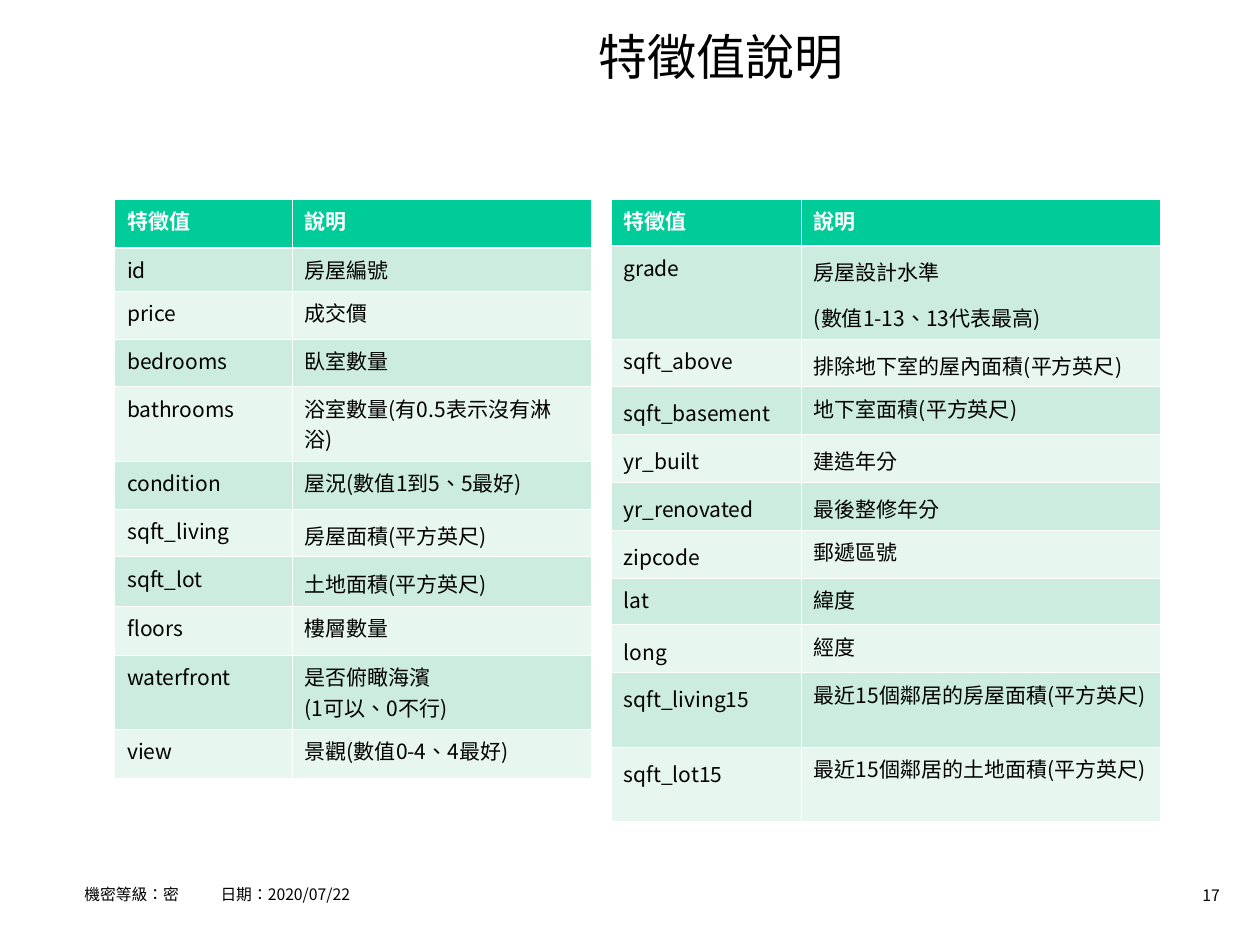
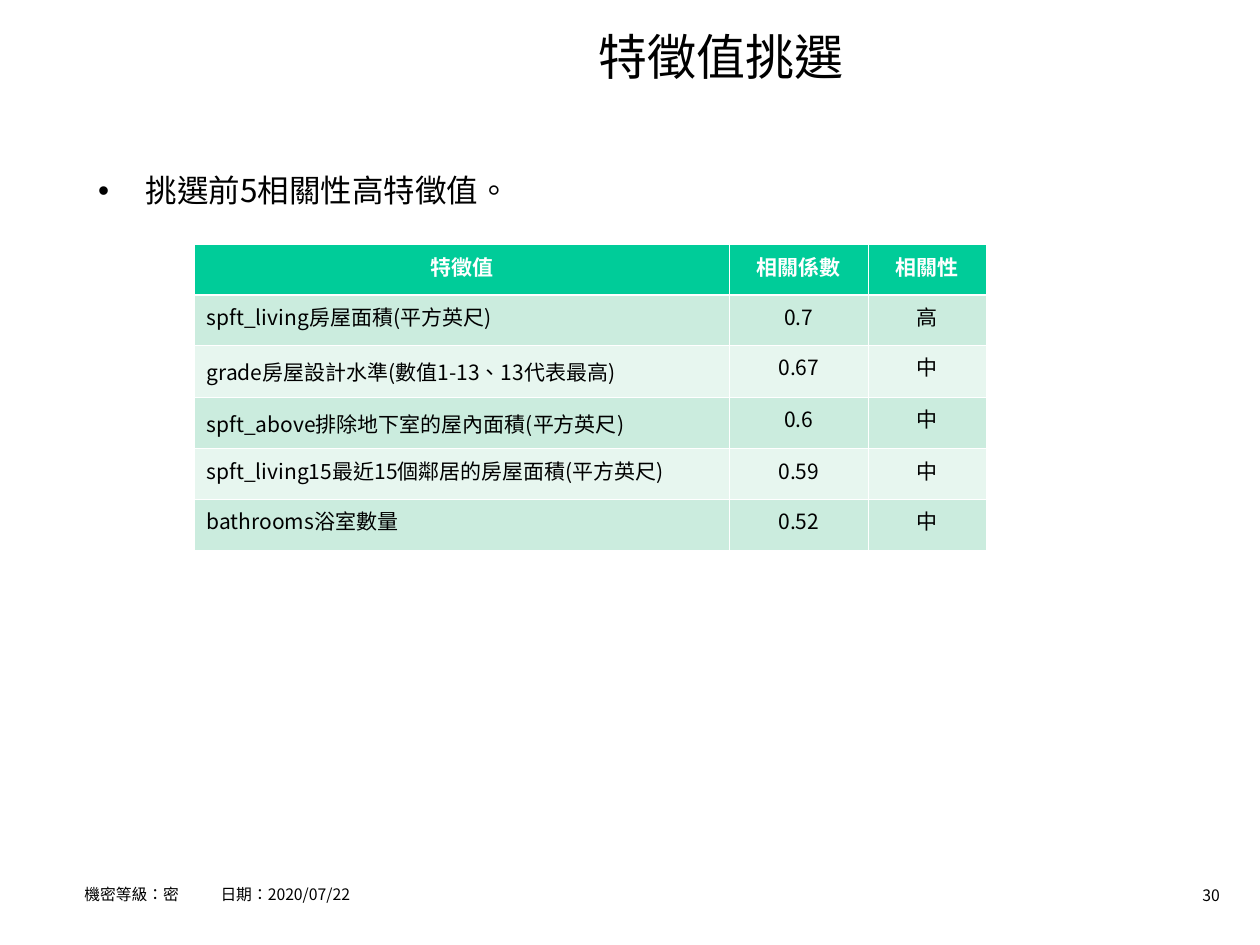
from lxml import etree
from pptx import Presentation
from pptx.dml.color import RGBColor
from pptx.enum.text import MSO_ANCHOR as Anchor, PP_ALIGN as Align
from pptx.oxml.ns import qn
from pptx.util import Inches, Pt

FONT = "Noto Sans CJK SC"
COLORS = {
    "text": "000000",
    "white": "FFFFFF",
    "header": "00CC99",
    "odd_row": "CBECDE",
    "even_row": "E7F6EF",
}
THIN, THICK = 0.45, 1.47

BASIC_FEATURES = [
    ("特徵值", "說明"),
    ("id", "房屋編號"),
    ("price", "成交價"),
    ("bedrooms", "臥室數量"),
    ("bathrooms", "浴室數量(有0.5表示沒有淋浴)"),
    ("condition", "屋況(數值1到5、5最好)"),
    ("sqft_living", "房屋面積(平方英尺)"),
    ("sqft_lot", "土地面積(平方英尺)"),
    ("floors", "樓層數量"),
    ("waterfront", "是否俯瞰海濱\n(1可以、0不行)"),
    ("view", "景觀(數值0-4、4最好)"),
]
MORE_FEATURES = [
    ("特徵值", "說明"),
    ("grade", "房屋設計水準\n(數值1-13、13代表最高)"),
    ("sqft_above", "排除地下室的屋內面積(平方英尺)"),
    ("sqft_basement", "地下室面積(平方英尺)"),
    ("yr_built", "建造年分"),
    ("yr_renovated", "最後整修年分"),
    ("zipcode", "郵遞區號"),
    ("lat", "緯度"),
    ("long", "經度"),
    ("sqft_living15", "最近15個鄰居的房屋面積(平方英尺)"),
    ("sqft_lot15", "最近15個鄰居的土地面積(平方英尺)"),
]
CORRELATIONS = [
    ("特徵值", "相關係數", "相關性"),
    ("spft_living房屋面積(平方英尺)", "0.7", "高"),
    ("grade房屋設計水準(數值1-13、13代表最高)", "0.67", "中"),
    ("spft_above排除地下室的屋內面積(平方英尺)", "0.6", "中"),
    ("spft_living15最近15個鄰居的房屋面積(平方英尺)", "0.59", "中"),
    ("bathrooms浴室數量", "0.52", "中"),
]


def add_bullet(paragraph, indent):
    """Give a paragraph a hanging round bullet."""
    properties = paragraph._p.get_or_add_pPr()
    properties.set("marL", str(Inches(indent)))
    properties.set("indent", str(-Inches(indent)))
    etree.SubElement(properties, qn("a:buFont"), typeface="Arial")
    etree.SubElement(properties, qn("a:buChar"), char="•")


def add_tab_stop(paragraph, position):
    """Add one left tab stop to a paragraph."""
    stops = etree.SubElement(paragraph._p.get_or_add_pPr(), qn("a:tabLst"))
    etree.SubElement(stops, qn("a:tab"), pos=str(Inches(position)), algn="l")


def write_text(text_frame, text, *, size=12, color="text", bold=False, align=Align.LEFT,
               line_spacing=None, space_between=0, bullet_indent=None, tab_stop=None):
    """Write one formatted paragraph for each line of the text."""
    for index, line in enumerate(text.split("\n")):
        paragraph = text_frame.add_paragraph() if index else text_frame.paragraphs[0]
        paragraph.alignment = align
        if line_spacing:
            paragraph.line_spacing = line_spacing
        if index and space_between:
            paragraph.space_before = Pt(space_between)
        if bullet_indent:
            add_bullet(paragraph, bullet_indent)
        if tab_stop:
            add_tab_stop(paragraph, tab_stop)
        run = paragraph.add_run()
        run.text = line
        run.font.size = Pt(size)
        run.font.bold = bold
        run.font.color.rgb = RGBColor.from_string(COLORS[color])
        run.font.name = FONT
        properties = run._r.get_or_add_rPr()
        properties.set("lang", "zh-TW")
        etree.SubElement(properties, qn("a:ea"), typeface=FONT)


def add_text_box(slide, box, text, *, anchor=Anchor.TOP, margin_left=0.1, **text_format):
    """Add a wrapping text box at left, top, width, height."""
    text_frame = slide.shapes.add_textbox(*map(Inches, box)).text_frame
    text_frame.word_wrap = True
    text_frame.vertical_anchor = anchor
    text_frame.margin_left = Inches(margin_left)
    write_text(text_frame, text, **text_format)


def set_borders(cell, row_index):
    """Draw white cell borders, thick between the header and the body."""
    widths = {
        "L": THIN,
        "R": THIN,
        "T": THICK if row_index == 1 else THIN,
        "B": THICK if row_index == 0 else THIN,
    }
    properties = cell._tc.get_or_add_tcPr()
    for side, width in widths.items():
        line = etree.SubElement(properties, qn(f"a:ln{side}"), w=str(Pt(width)))
        fill = etree.SubElement(line, qn("a:solidFill"))
        etree.SubElement(fill, qn("a:srgbClr"), val=COLORS["white"])


def add_banded_table(slide, left, top, widths, heights, rows, *, loose_cells=(),
                     centered_header=False, centered_columns=()):
    """Add a banded table; loose cells get wider line spacing."""
    frame = slide.shapes.add_table(len(rows), len(widths), Inches(left), Inches(top),
                                   Inches(sum(widths)), Inches(sum(heights)))
    table = frame.table
    for column, width in zip(table.columns, widths):
        column.width = Inches(width)
    for row_index, (values, height) in enumerate(zip(rows, heights)):
        table.rows[row_index].height = Inches(height)
        is_header = row_index == 0
        band = "header" if is_header else "odd_row" if row_index % 2 else "even_row"
        for column_index, value in enumerate(values):
            cell = table.cell(row_index, column_index)
            set_borders(cell, row_index)
            cell.fill.solid()
            cell.fill.fore_color.rgb = RGBColor.from_string(COLORS[band])
            loose = (row_index, column_index) in loose_cells
            centered = column_index in centered_columns or (is_header and centered_header)
            write_text(cell.text_frame, value, bold=is_header,
                       color="white" if is_header else "text",
                       align=Align.CENTER if centered else Align.LEFT,
                       line_spacing=1.15 if loose else None,
                       space_between=6 if loose else 0)


def add_page(presentation, title, number):
    """Add a blank slide with the shared title, footer and page number."""
    slide = presentation.slides.add_slide(presentation.slide_layouts[6])
    add_text_box(slide, (9.1, 6.98, 0.68, 0.25), str(number), size=9, align=Align.RIGHT)
    add_text_box(slide, (2.31, 0.15, 6.83, 0.59), title, size=28,
                 align=Align.CENTER, anchor=Anchor.MIDDLE)
    add_text_box(slide, (0.67, 6.9, 7.42, 0.31), "機密等級：密\t日期：2020/07/22", size=9,
                 margin_left=0, line_spacing=1.5, tab_stop=1.08)
    return slide


def build_feature_slide(presentation):
    """Build the slide that explains every feature."""
    slide = add_page(presentation, "特徵值說明", 17)
    add_banded_table(slide, 0.91, 1.58, (1.41, 2.37),
                     (0.39, 0.34, 0.38, 0.38, 0.59, 0.38, 0.38, 0.39, 0.39, 0.59, 0.39),
                     BASIC_FEATURES, loose_cells={(6, 1), (7, 1)})
    loose_names = {(row, 0) for row in (3, 4, 5, 6, 8, 9, 10)}
    loose_notes = {(row, 1) for row in (1, 2, 4, 5)}
    add_banded_table(slide, 4.85, 1.58, (1.51, 2.85),
                     (0.37, 0.74, 0.38, 0.38, 0.38, 0.38, 0.38, 0.37, 0.38, 0.59, 0.59),
                     MORE_FEATURES, loose_cells=loose_names | loose_notes)


def build_selection_slide(presentation):
    """Build the slide that picks the most correlated features."""
    slide = add_page(presentation, "特徵值挑選", 30)
    add_text_box(slide, (0.68, 1.31, 8.74, 5.59), "挑選前5相關性高特徵值。",
                 size=18, bullet_indent=0.38)
    add_banded_table(slide, 1.54, 1.94, (4.25, 1.1, 0.94),
                     (0.4, 0.4, 0.41, 0.41, 0.4, 0.41), CORRELATIONS,
                     loose_cells={(2, 0), (3, 0)}, centered_header=True,
                     centered_columns=(1, 2))


def main():
    """Build and save the presentation."""
    presentation = Presentation()
    presentation.slide_width = Inches(10)
    presentation.slide_height = Inches(7.5)
    build_feature_slide(presentation)
    build_selection_slide(presentation)
    presentation.save("out.pptx")


if __name__ == "__main__":
    main()
